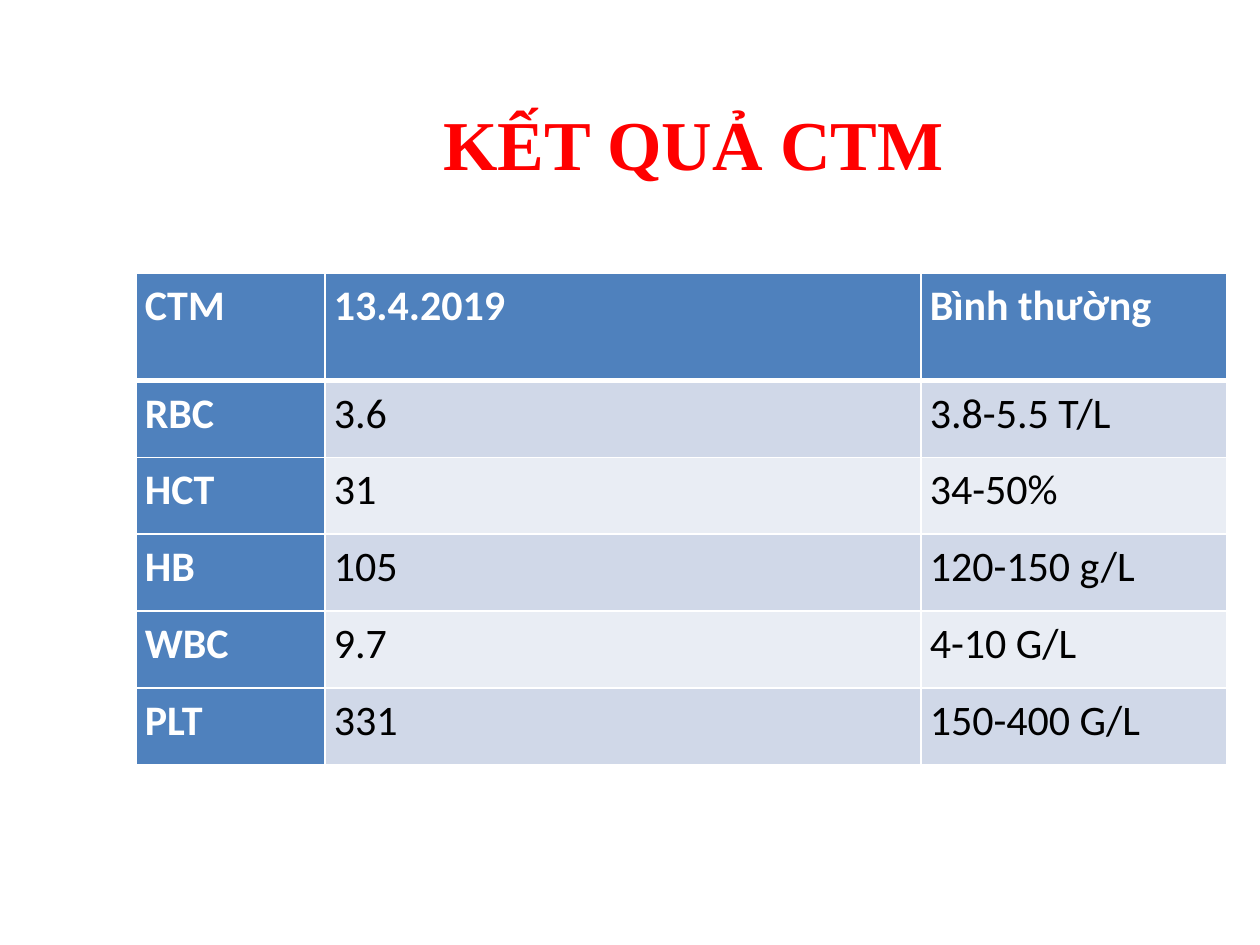
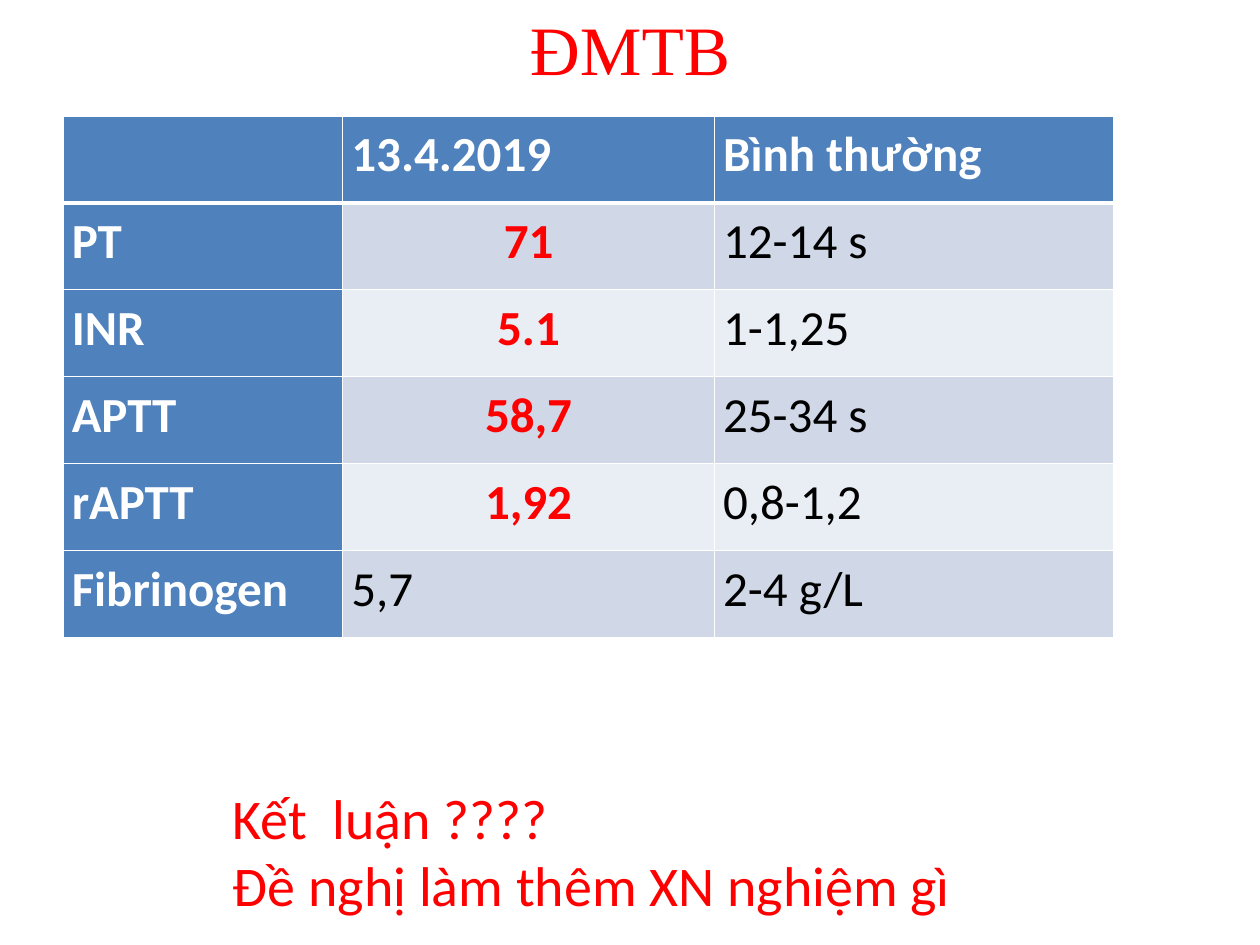
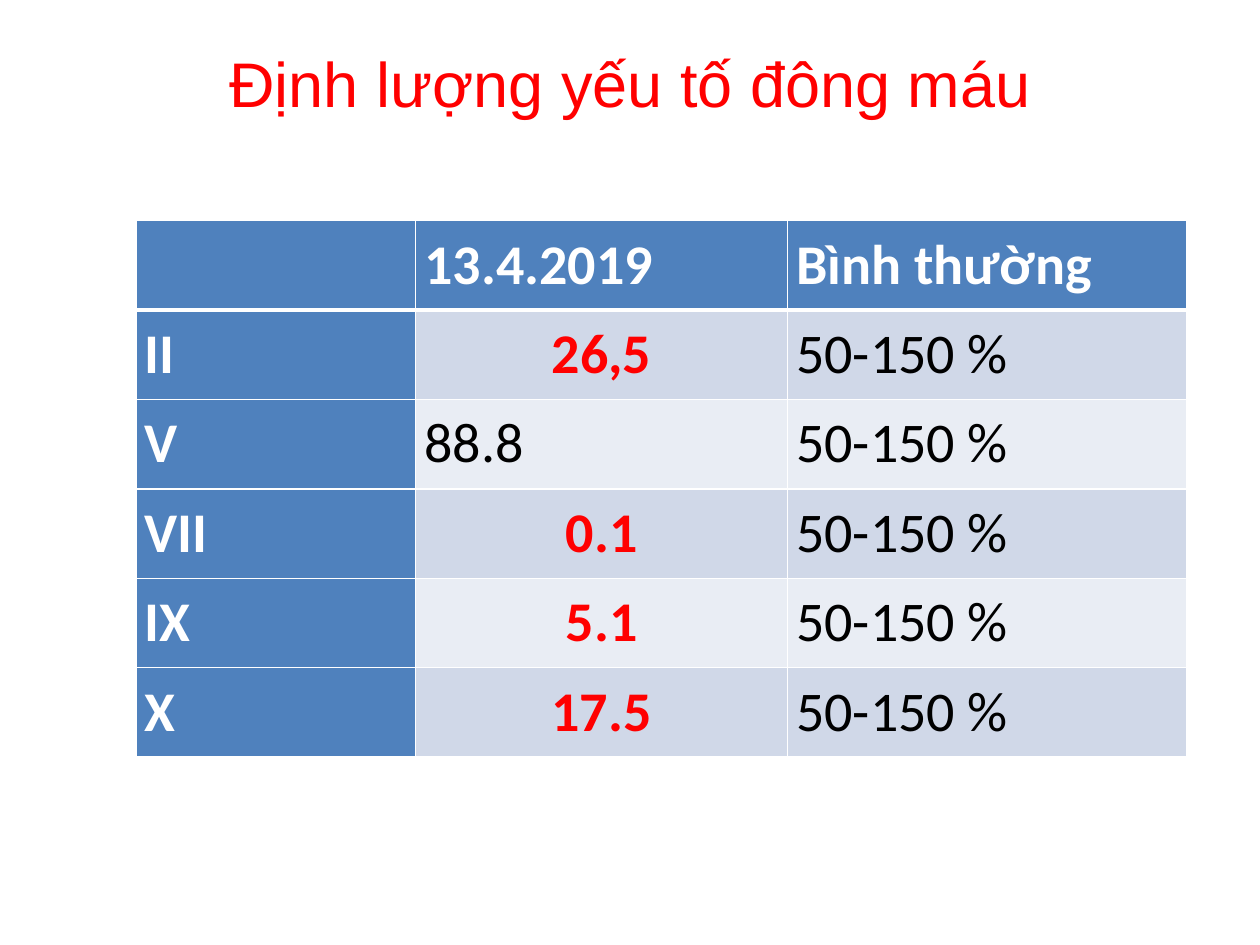
from lxml.etree import SubElement
from pptx import Presentation
from pptx.dml.color import RGBColor
from pptx.enum.text import MSO_ANCHOR, MSO_AUTO_SIZE, PP_ALIGN
from pptx.oxml.ns import qn
from pptx.util import Inches, Pt

COLORS = {
    "red": "FF0000",
    "white": "FFFFFF",
    "black": "000000",
    "header": "4F81BD",
    "odd_row": "D0D8E8",
    "even_row": "E9EDF4",
}
DATE = "13.4.2019"
NORMAL = "Bình thường"
FACTOR_RANGE = "50-150 %"

SLIDES = [
    {
        "title": "KẾT QUẢ CTM",
        "title_box": (3.42, 0.75, 5.5, 0.77),
        "title_align": PP_ALIGN.LEFT,
        "title_font": {"name": "Times New Roman", "size": Pt(40), "bold": True},
        "table_origin": (1.08, 2.17),
        "columns": (1.5, 4.73, 2.43),
        "header_height": 0.85,
        "row_height": 0.61,
        "text_size": 24,
        "abnormal": (),
        "rows": [
            ("CTM", DATE, NORMAL),
            ("RBC", "3.6", "3.8-5.5 T/L"),
            ("HCT", "31", "34-50%"),
            ("HB", "105", "120-150 g/L"),
            ("WBC", "9.7", "4-10 G/L"),
            ("PLT", "331", "150-400 G/L"),
        ],
    },
    {
        "title": "ĐMTB",
        "title_box": (0.5, 0, 9, 0.7),
        "title_align": PP_ALIGN.CENTER,
        "title_font": {"name": "Times New Roman", "size": Pt(39.6), "bold": False},
        "table_origin": (0.5, 0.92),
        "columns": (2.22, 2.95, 3.17),
        "header_height": 0.69,
        "row_height": 0.69,
        "text_size": 28,
        "abnormal": ("PT", "INR", "APTT", "rAPTT"),
        "rows": [
            ("", DATE, NORMAL),
            ("PT", "71", "12-14 s"),
            ("INR", "5.1", "1-1,25"),
            ("APTT", "58,7", "25-34 s"),
            ("rAPTT", "1,92", "0,8-1,2"),
            ("Fibrinogen", "5,7", "2-4 g/L"),
        ],
        "questions": ("Kết  luận ????", "Đề nghị làm thêm XN nghiệm gì"),
    },
    {
        "title": "Định lượng yếu tố đông máu",
        "title_box": (0.5, 0.3, 9, 1.25),
        "title_align": PP_ALIGN.CENTER,
        "title_font": {"name": "Arial", "size": Pt(36), "bold": False},
        "table_origin": (1.08, 1.75),
        "columns": (2.22, 2.95, 3.17),
        "header_height": 0.71,
        "row_height": 0.71,
        "text_size": 32,
        "abnormal": ("II", "VII", "IX", "X"),
        "rows": [
            ("", DATE, NORMAL),
            ("II", "26,5", FACTOR_RANGE),
            ("V", "88.8", FACTOR_RANGE),
            ("VII", "0.1", FACTOR_RANGE),
            ("IX", "5.1", FACTOR_RANGE),
            ("X", "17.5", FACTOR_RANGE),
        ],
    },
]


def format_font(font, color, values):
    font.color.rgb = RGBColor.from_string(COLORS[color])
    for attribute, value in values.items():
        setattr(font, attribute, value)


def format_cell(cell, fill, row_index):
    """Set white borders, thick below the header row, then insets and fill."""
    widths = {
        "a:lnL": 1,
        "a:lnR": 1,
        "a:lnT": 3 if row_index == 1 else 1,
        "a:lnB": 3 if row_index == 0 else 1,
    }
    properties = cell._tc.get_or_add_tcPr()
    for tag, width in widths.items():
        line = SubElement(properties, qn(tag), w=str(Pt(width)))
        line_fill = SubElement(line, qn("a:solidFill"))
        SubElement(line_fill, qn("a:srgbClr"), val=COLORS["white"])
    cell.margin_left = cell.margin_right = Inches(0.07)
    cell.margin_top = cell.margin_bottom = 0
    cell.fill.solid()
    cell.fill.fore_color.rgb = RGBColor.from_string(COLORS[fill])


presentation = Presentation()
presentation.slide_width = Inches(10)
presentation.slide_height = Inches(7.5)
title_only = presentation.slide_layouts[5]

for content in SLIDES:
    slide = presentation.slides.add_slide(title_only)

    title = slide.shapes.title
    title.left, title.top, title.width, title.height = map(Inches, content["title_box"])
    title.text_frame.text = content["title"]
    title.text_frame.auto_size = MSO_AUTO_SIZE.NONE
    title.text_frame.vertical_anchor = MSO_ANCHOR.TOP
    paragraph = title.text_frame.paragraphs[0]
    paragraph.alignment = content["title_align"]
    format_font(paragraph.font, "red", content["title_font"])

    rows, columns = content["rows"], content["columns"]
    heights = [content["header_height"]] + [content["row_height"]] * (len(rows) - 1)
    left, top = content["table_origin"]
    table = slide.shapes.add_table(
        len(rows), len(columns), Inches(left), Inches(top),
        Inches(sum(columns)), Inches(sum(heights)),
    ).table
    table.first_col = True
    for column, width in zip(table.columns, columns):
        column.width = Inches(width)

    for row_index, (row, height) in enumerate(zip(rows, heights)):
        table.rows[row_index].height = Inches(height)
        for column_index, text in enumerate(row):
            cell = table.cell(row_index, column_index)
            is_header = row_index == 0 or column_index == 0
            is_abnormal = column_index == 1 and row[0] in content["abnormal"]
            band = "odd_row" if row_index % 2 else "even_row"
            format_cell(cell, "header" if is_header else band, row_index)
            if not text:
                continue
            cell.text = text
            paragraph = cell.text_frame.paragraphs[0]
            paragraph.line_spacing = 1.15
            paragraph.alignment = PP_ALIGN.CENTER if is_abnormal else PP_ALIGN.LEFT
            color = "white" if is_header else "red" if is_abnormal else "black"
            format_font(paragraph.runs[0].font, color, {
                "name": "Calibri",
                "size": Pt(content["text_size"]),
                "bold": is_header or is_abnormal,
            })

    if "questions" in content:
        question_box = slide.shapes.add_textbox(
            Inches(1.75), Inches(6.17), Inches(6.92), Inches(1.18)
        )
        question_box.text_frame.word_wrap = True
        question_box.text_frame.text = "\n".join(content["questions"])
        for paragraph in question_box.text_frame.paragraphs:
            format_font(paragraph.font, "red", {"name": "Calibri", "size": Pt(32)})

presentation.save("out.pptx")
